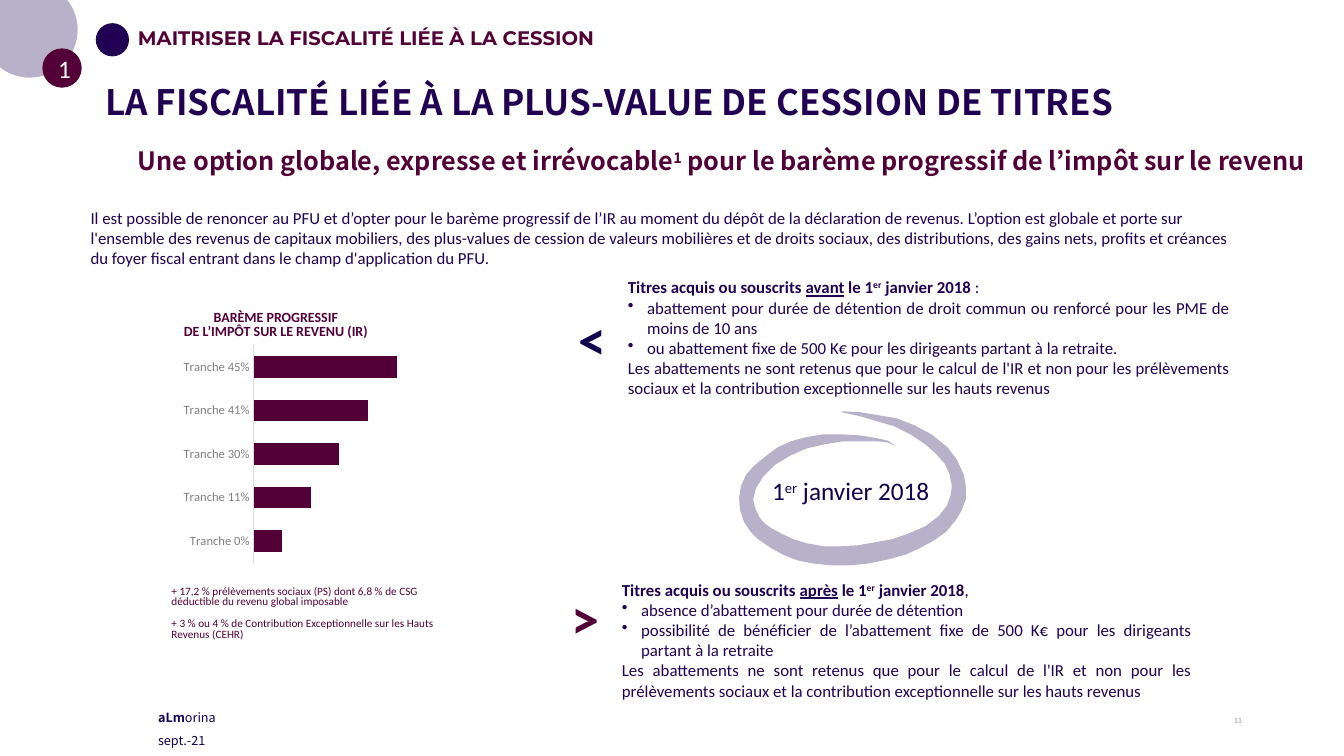
from lxml import etree
from pptx import Presentation
from pptx.chart.data import CategoryChartData as ChartData
from pptx.dml.color import RGBColor as RGB
from pptx.enum.chart import XL_CHART_TYPE as Kind, XL_TICK_MARK as Tick
from pptx.enum.shapes import MSO_SHAPE as Shape
from pptx.enum.text import MSO_ANCHOR as Anchor, PP_ALIGN as Align
from pptx.oxml.ns import qn
from pptx.util import Inches, Pt

NAVY = RGB(0x21, 0x00, 0x53)
INK = RGB(0x11, 0x00, 0x4E)
PLUM = RGB(0x53, 0x00, 0x39)
LILAC = RGB(0xB7, 0xB2, 0xCA)
PALE = RGB(0xB7, 0xB3, 0xCB)
GREY = RGB(0x80, 0x80, 0x80)
RULE = RGB(0xD9, 0xD9, 0xD9)
WHITE = RGB(0xFF, 0xFF, 0xFF)
SANS, NOTO, KOREAN = "Calibri", "Noto Sans CJK TC", "Noto Sans CJK KR"

deck = Presentation()
deck.slide_width, deck.slide_height = Inches(13.33), Inches(7.5)
slide = deck.slides.add_slide(deck.slide_layouts[6])
shapes = slide.shapes


def write(at, paras, size, color, font=SANS, bold=None, align=Align.LEFT,
          anchor=Anchor.TOP, line=None, inset=None, wrap=True):
    frame = shapes.add_textbox(*map(Inches, at)).text_frame
    frame.word_wrap = wrap
    frame.vertical_anchor = anchor
    if inset is not None:
        frame.margin_left = frame.margin_right = Inches(inset)
        frame.margin_top = frame.margin_bottom = Inches(inset)
    for i, runs in enumerate(paras):
        para = frame.paragraphs[0] if i == 0 else frame.add_paragraph()
        para.alignment = align
        para.line_spacing = line
        face = para.font
        face.size, face.name, face.bold = Pt(size), font, bold
        face.color.rgb = color
        for words, style in [(runs, "")] if isinstance(runs, str) else runs:
            run = para.add_run()
            run.text = words
            if "b" in style:
                run.font.bold = True
            if "u" in style:
                run.font.underline = True
            if "^" in style:
                run.font._element.set("baseline", "30000")
    return frame


def disc(left, top, size, color):
    dot = shapes.add_shape(Shape.OVAL, *map(Inches, (left, top, size, size)))
    dot.shadow.inherit = False
    dot.fill.solid()
    dot.fill.fore_color.rgb = color
    dot.line.fill.background()
    return dot


corner = disc(-0.18, -0.18, 0.95, INK)
tint = corner.fill._xPr.find(".//" + qn("a:srgbClr"))
etree.SubElement(tint, qn("a:alpha")).set("val", "30000")
disc(0.95, 0.23, 0.33, NAVY)

write((1.47, 6.99, 2.46, 0.25), [[("aLm", "b"), ("orina", "")]], 9, INK, NOTO)
write((1.47, 7.22, 1.66, 0.25), ["sept.-21"], 9, INK, NOTO)

badge = disc(0.42, 0.48, 0.39, PLUM).text_frame
badge.vertical_anchor = Anchor.MIDDLE
para = badge.paragraphs[0]
para.text, para.alignment = "1", Align.CENTER
para.font.size, para.font.name = Pt(18), SANS
para.font.color.rgb = WHITE

write((9.42, 6.95, 3, 0.4), ["11"], 5, PALE, NOTO, True, Align.RIGHT, Anchor.MIDDLE)
write((1.27, 1.43, 11.79, 0.39),
      [[("Une option globale, expresse et irrévocable", ""), ("1", "^"),
        (" pour le barème progressif de l’impôt sur le revenu", "")]],
      18, PLUM, KOREAN, True, line=0.9)
write((1.27, 0.23, 7.98, 0.31), ["MAITRISER LA FISCALITÉ LIÉE À LA CESSION"],
      14, PLUM, "Montserrat", True, line=0.9)
write((1.63, 3.04, 2.21, 0.38),
      ["BARÈME PROGRESSIF", "DE L’IMPÔT SUR LE REVENU (IR)"],
      10, PLUM, bold=True, align=Align.CENTER, anchor=Anchor.MIDDLE, line=0.8, inset=0.06)

data = ChartData()
data.categories = [f"Tranche {rate}%" for rate in (0, 11, 30, 41, 45)]
data.add_series("Series 1", (20, 40, 60, 80, 100))
data.add_series("Series 2", (0, None, None, None, None))
chart = shapes.add_chart(Kind.BAR_STACKED, *map(Inches, (1.77, 3.38, 2.5, 2.25)), data).chart
chart.has_legend = chart.has_title = False
chart.font.size, chart.font.name = Pt(10), SANS
plot = chart.plots[0]
plot.gap_width, plot.overlap = 100, 100
plot.vary_by_categories = False
for bars in plot.series:
    bars.format.fill.solid()
    bars.format.fill.fore_color.rgb = PLUM
names, scale = chart.category_axis, chart.value_axis
names.major_tick_mark = names.minor_tick_mark = Tick.NONE
names.has_major_gridlines = scale.has_major_gridlines = False
names.format.line.color.rgb = RULE
names.format.line.width = Pt(0.75)
label = names.tick_labels.font
label.size, label.name = Pt(9), SANS
label.color.rgb = GREY
scale.minimum_scale, scale.maximum_scale = 0, 120
scale.visible = False

rest = ("Les abattements ne sont retenus que pour le calcul de l'IR et non pour les "
        "prélèvements sociaux et la contribution exceptionnelle sur les hauts revenus")
cases = [
    ((6.13, 2.7, 6.17, 1.31), "avant", " :",
     ["abattement pour durée de détention de droit commun ou renforcé pour les PME de moins de 10 ans",
      "ou abattement fixe de 500 K€ pour les dirigeants partant à la retraite."]),
    ((6.07, 5.7, 5.85, 1.31), "après", ",",
     ["absence d’abattement pour durée de détention",
      "possibilité de bénéficier de l’abattement fixe de 500 K€ pour les dirigeants partant à la retraite"]),
]
for at, when, end, points in cases:
    head = [("Titres acquis ou souscrits ", "b"), (when, "bu"), (" le 1", "b"),
            ("er", "b^"), (" janvier 2018", "b"), (end, "")]
    frame = write(at, [head, *points, rest], 12, NAVY, align=Align.JUSTIFY)
    for para in frame.paragraphs[1:3]:
        props = para._p.get_or_add_pPr()
        props.set("marL", str(Inches(0.19)))
        props.set("indent", str(-Inches(0.19)))
        bullet = etree.Element(qn("a:buChar"), char="•")
        props.insert_element_before(bullet, "a:tabLst", "a:defRPr", "a:extLst")

write((5.64, 2.97, 0.51, 0.77), ["<"], 40, INK, bold=True)
write((5.57, 5.74, 0.48, 0.77), [">"], 40, PLUM, bold=True, wrap=False)
write((7.56, 4.67, 1.79, 0.4), [[("1", ""), ("er", "^"), (" janvier 2018", "")]],
      18, INK, wrap=False)

inner = [
    (8.88, 4.42), (8.8, 4.39), (8.71, 4.38), (8.53, 4.38), (8.35, 4.38), (8.17, 4.41),
    (8, 4.45), (7.84, 4.52), (7.69, 4.61), (7.57, 4.73), (7.5, 4.84), (7.47, 4.95),
    (7.49, 5.04), (7.53, 5.13), (7.58, 5.19), (7.65, 5.24), (7.76, 5.3), (7.87, 5.35),
    (8, 5.39), (8.17, 5.42), (8.34, 5.42), (8.51, 5.41), (8.68, 5.38), (8.85, 5.35),
    (9.02, 5.29), (9.18, 5.22), (9.31, 5.12), (9.39, 5.02), (9.43, 4.91), (9.44, 4.82),
    (9.42, 4.71), (9.37, 4.6), (9.28, 4.5), (9.18, 4.41), (9.03, 4.31), (8.87, 4.23),
    (8.7, 4.18), (8.53, 4.13), (8.35, 4.09),
]
outer = [
    (8.35, 4.08), (8.53, 4.09), (8.71, 4.12), (8.89, 4.15), (9.07, 4.22), (9.24, 4.31),
    (9.4, 4.44), (9.49, 4.56), (9.56, 4.71), (9.58, 4.83), (9.58, 4.95), (9.54, 5.06),
    (9.48, 5.16), (9.38, 5.28), (9.25, 5.37), (9.12, 5.44), (8.99, 5.5), (8.81, 5.55),
    (8.62, 5.59), (8.43, 5.61), (8.24, 5.61), (8.06, 5.59), (7.91, 5.56), (7.78, 5.51),
    (7.65, 5.44), (7.52, 5.35), (7.44, 5.27), (7.38, 5.18), (7.34, 5.06), (7.33, 4.94),
    (7.35, 4.82), (7.4, 4.71), (7.47, 4.63), (7.59, 4.53), (7.71, 4.44), (7.84, 4.38),
    (7.98, 4.34), (8.16, 4.31), (8.35, 4.31), (8.53, 4.32), (8.71, 4.35), (8.8, 4.37),
]
path = [(Inches(x), Inches(y)) for x, y in inner + outer]
pen = shapes.build_freeform(*path[0])
pen.add_line_segments(path[1:], close=True)
ring = pen.convert_to_shape()
ring.shadow.inherit = False
ring.fill.solid()
ring.fill.fore_color.rgb = LILAC
ring.line.fill.background()

taxes = write((1.64, 5.76, 2.88, 0.76),
              ["+ 17,2 % prélèvements sociaux (PS) dont 6,8 % de CSG déductible du revenu global imposable",
               "+ 3 % ou 4 % de Contribution Exceptionnelle sur les Hauts Revenus (CEHR)"],
              8, PLUM, line=0.8, inset=0.06)
taxes.paragraphs[0].space_after = Pt(7.8)
write((0.95, 0.67, 11.36, 0.73), ["LA FISCALITÉ LIÉE À LA PLUS-VALUE DE CESSION DE TITRES"],
      25, NAVY, NOTO, True, anchor=Anchor.MIDDLE, line=0.9)
write((0.8, 2.01, 11.5, 0.71),
      ["Il est possible de renoncer au PFU et d’opter pour le barème progressif de l’IR au moment "
       "du dépôt de la déclaration de revenus. L’option est globale et porte sur l'ensemble des "
       "revenus de capitaux mobiliers, des plus-values de cession de valeurs mobilières et de droits "
       "sociaux, des distributions, des gains nets, profits et créances du foyer fiscal entrant dans "
       "le champ d'application du PFU."], 12, NAVY)

deck.save("out.pptx")
